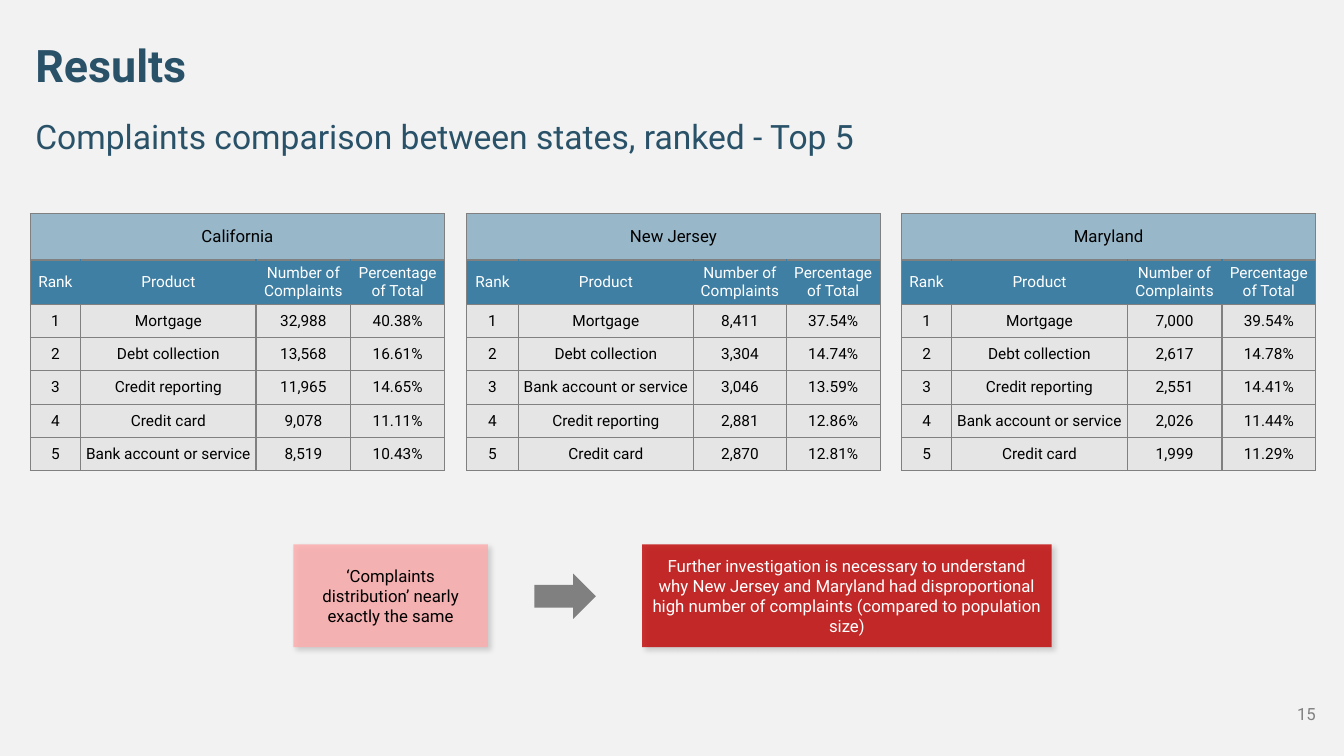
import lxml.etree
import pptx
import pptx.dml.color
import pptx.enum.shapes
import pptx.enum.text
import pptx.oxml.ns
import pptx.util

Inches = pptx.util.Inches
RGBColor = pptx.dml.color.RGBColor
Align = pptx.enum.text.PP_ALIGN
Anchor = pptx.enum.text.MSO_ANCHOR
Shape = pptx.enum.shapes.MSO_SHAPE
qn = pptx.oxml.ns.qn

NAVY = RGBColor(0x29, 0x52, 0x69)
BLUE = RGBColor(0x3F, 0x7F, 0xA3)
GRAY = RGBColor(0x80, 0x80, 0x80)
SILVER = RGBColor(0xD9, 0xD9, 0xD9)
PALE = RGBColor(0xF2, 0xF2, 0xF2)
PINK = RGBColor(0xFF, 0xAB, 0xAB)
RED = RGBColor(0xC0, 0x00, 0x00)
BLACK = RGBColor(0, 0, 0)
WHITE = RGBColor(0xFF, 0xFF, 0xFF)

HEADS = ["Rank", "Product", "Number of Complaints", "Percentage of Total"]
HEIGHTS = [0.46, 0.44] + [0.33] * 5
WIDE = [0.5, 1.74, 0.94, 0.93]
SLIM = [0.51, 1.74, 0.92, 0.93]
STATES = [
    ("California", 0.3, WIDE, [
        ("Mortgage", "32,988", "40.38%"),
        ("Debt collection", "13,568", "16.61%"),
        ("Credit reporting", "11,965", "14.65%"),
        ("Credit card", "9,078", "11.11%"),
        ("Bank account or service", "8,519", "10.43%")]),
    ("New Jersey", 4.63, SLIM, [
        ("Mortgage", "8,411", "37.54%"),
        ("Debt collection", "3,304", "14.74%"),
        ("Bank account or service", "3,046", "13.59%"),
        ("Credit reporting", "2,881", "12.86%"),
        ("Credit card", "2,870", "12.81%")]),
    ("Maryland", 8.94, WIDE, [
        ("Mortgage", "7,000", "39.54%"),
        ("Debt collection", "2,617", "14.78%"),
        ("Credit reporting", "2,551", "14.41%"),
        ("Bank account or service", "2,026", "11.44%"),
        ("Credit card", "1,999", "11.29%")]),
]


def write(frame, text, size, color, align=Align.CENTER, bold=False):
    frame.text = text
    para = frame.paragraphs[0]
    para.alignment = align
    font = para.font
    font.name, font.size = "Roboto", pptx.util.Pt(size)
    font.color.rgb, font.bold = color, bold


def pad(item, size):
    item.margin_left = item.margin_right = Inches(size)
    item.margin_top = item.margin_bottom = Inches(size)


def add(parent, tag, **attrs):
    return lxml.etree.SubElement(parent, qn(tag), attrs)


def fade(props, share):
    """Set the opacity, in percent, of a solid fill."""
    color = props.find(qn("a:solidFill")).find(qn("a:srgbClr"))
    add(color, "a:alpha", val=str(share * 1000))


def edge(cell, colors):
    """Draw the left, right, top and bottom borders, in that order."""
    props = cell._tc.get_or_add_tcPr()
    for spot, (side, color) in enumerate(zip("LRTB", colors)):
        line = add(props, "a:ln" + side, w="12700")
        add(add(line, "a:solidFill"), "a:srgbClr", val=str(color))
        props.insert(spot, line)


def style(cell, text, fill, share, size=11, color=BLACK):
    write(cell.text_frame, text, size, color)
    cell.vertical_anchor = Anchor.MIDDLE
    pad(cell, 0.04)
    cell.fill.solid()
    cell.fill.fore_color.rgb = fill
    fade(cell._tc.get_or_add_tcPr(), share)


def add_state(slide, name, left, widths, rows):
    frame = slide.shapes.add_table(
        len(HEIGHTS), len(widths), Inches(left), Inches(2.12),
        Inches(sum(widths)), Inches(sum(HEIGHTS)))
    table = frame.table
    table.first_row = table.horz_banding = False
    for col, width in zip(table.columns, widths):
        col.width = Inches(width)
    for row, height in zip(table.rows, HEIGHTS):
        row.height = Inches(height)

    last = len(widths) - 1
    table.cell(0, 0).merge(table.cell(0, last))
    for col, head in enumerate(HEADS):
        style(table.cell(0, col), name if col == 0 else "", BLUE, 50, 12)
        edge(table.cell(0, col), [GRAY] * 4)
        cell = table.cell(1, col)
        style(cell, head, BLUE, 100, color=WHITE)
        edge(cell, [GRAY if col == 0 else BLUE,
                    GRAY if col == last else BLUE, GRAY, GRAY])
    for rank, values in enumerate(rows, 1):
        for col, text in enumerate((str(rank), *values)):
            cell = table.cell(rank + 1, col)
            style(cell, text, SILVER, 50)
            edge(cell, [GRAY] * 4)


def add_solid(shapes, kind, box, fill):
    shape = shapes.add_shape(kind, *map(Inches, box))
    shape.shadow.inherit = False
    shape.fill.solid()
    shape.fill.fore_color.rgb = fill
    shape.line.fill.background()
    return shape


def add_note(shapes, box, text, fill, color):
    shape = add_solid(shapes, Shape.RECTANGLE, box, fill)
    props = shape._element.spPr
    fade(props, 80)
    shadow = add(props.find(qn("a:effectLst")), "a:outerShdw",
                 blurRad="50800", dist="38100", dir="2700000", algn="tl")
    add(add(shadow, "a:srgbClr", val=str(BLACK)), "a:alpha", val="20000")
    frame = shape.text_frame
    frame.word_wrap = True
    frame.vertical_anchor = Anchor.MIDDLE
    write(frame, text, 12, color)


def set_frame(shape, margin, anchor):
    frame = shape.text_frame
    frame.word_wrap = True
    frame.auto_size = pptx.enum.text.MSO_AUTO_SIZE.NONE
    frame.vertical_anchor = anchor
    pad(frame, margin)
    return frame


def add_text(slide, box, margin, anchor):
    shape = slide.shapes.add_textbox(*map(Inches, box))
    return set_frame(shape, margin, anchor)


def main():
    deck = pptx.Presentation()
    deck.slide_width, deck.slide_height = Inches(13.33), Inches(7.5)
    slide = deck.slides.add_slide(deck.slide_layouts[5])
    slide.background.fill.solid()
    slide.background.fill.fore_color.rgb = PALE

    title = slide.shapes.title
    title.left, title.top = Inches(0.22), Inches(0.13)
    title.width, title.height = Inches(12.42), Inches(0.91)
    write(set_frame(title, 0.13, Anchor.BOTTOM),
          "Results", 32, NAVY, Align.LEFT, True)
    write(add_text(slide, (0.22, 0.77, 10.12, 0.91), 0.13, Anchor.BOTTOM),
          "Complaints comparison between states, ranked - Top 5",
          24, NAVY, Align.LEFT)

    for state in STATES:
        add_state(slide, *state)

    group = slide.shapes.add_group_shape().shapes
    add_note(group, (2.91, 5.4, 1.93, 1.02),
             "‘Complaints distribution’ nearly exactly the same", PINK, BLACK)
    add_solid(group, Shape.RIGHT_ARROW, (5.3, 5.69, 0.61, 0.45), GRAY)
    add_note(group, (6.37, 5.4, 4.06, 1.02),
             "Further investigation is necessary to understand why New Jersey "
             "and Maryland had disproportional high number of complaints "
             "(compared to population size)", RED, WHITE)

    write(add_text(slide, (12.35, 6.8, 0.8, 0.57), 0.1, Anchor.MIDDLE),
          "15", 12, GRAY, Align.RIGHT)
    deck.save("out.pptx")


if __name__ == "__main__":
    main()
